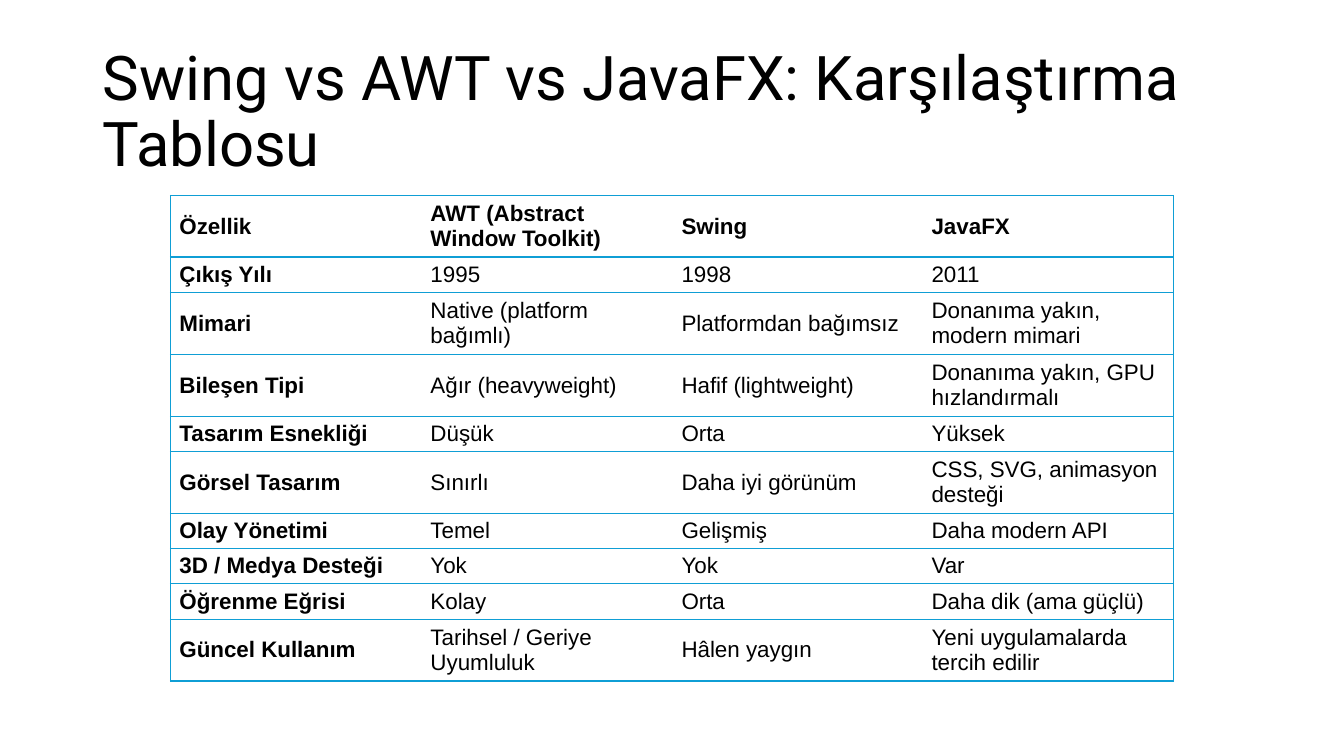
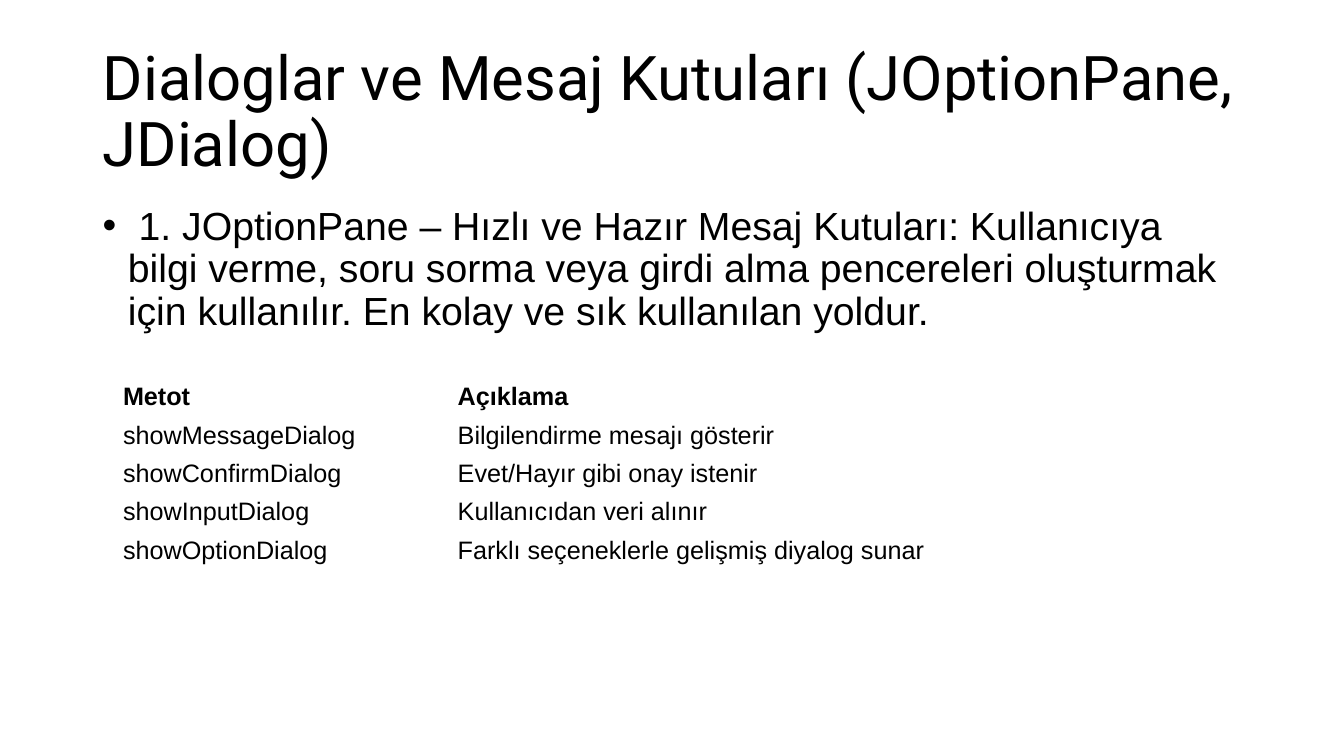
import pptx
import pptx.dml.color
import pptx.enum.text
import pptx.oxml.ns
import pptx.util
from lxml import etree

PX = 9144  # EMU per px, 100 px to the inch
BLACK, WHITE, BLUE = "000000", "FFFFFF", "0F9ED5"
TITLE_FONT, BODY_FONT = "Roboto", "Arial"
TITLE_BOX = (92, 40, 1150, 145)
BODY_BOX = (92, 200, 1140, 476)
PLAIN_TABLE_STYLE = "{2D5ABB26-0587-4C30-8999-92F81FD0307C}"

COMPARISON_TITLE = "Swing vs AWT vs JavaFX: Karşılaştırma Tablosu"
COMPARISON = [
    ("Özellik", "AWT (Abstract Window Toolkit)", "Swing", "JavaFX"),
    ("Çıkış Yılı", "1995", "1998", "2011"),
    ("Mimari", "Native (platform bağımlı)", "Platformdan bağımsız",
     "Donanıma yakın, modern mimari"),
    ("Bileşen Tipi", "Ağır (heavyweight)", "Hafif (lightweight)",
     "Donanıma yakın, GPU hızlandırmalı"),
    ("Tasarım Esnekliği", "Düşük", "Orta", "Yüksek"),
    ("Görsel Tasarım", "Sınırlı", "Daha iyi görünüm", "CSS, SVG, animasyon desteği"),
    ("Olay Yönetimi", "Temel", "Gelişmiş", "Daha modern API"),
    ("3D / Medya Desteği", "Yok", "Yok", "Var"),
    ("Öğrenme Eğrisi", "Kolay", "Orta", "Daha dik (ama güçlü)"),
    ("Güncel Kullanım", "Tarihsel / Geriye Uyumluluk", "Hâlen yaygın",
     "Yeni uygulamalarda tercih edilir"),
]
COMPARISON_WIDTHS = [249, 249, 248, 249]
HEADER, ONE_LINE, TWO_LINES = 61, 35, 60
TWO_LINE_ROWS = {2, 3, 5, 9}

DIALOG_TITLE = "Dialoglar ve Mesaj Kutuları (JOptionPane, JDialog)"
DIALOG_TEXT = (
    " 1. JOptionPane – Hızlı ve Hazır Mesaj Kutuları: Kullanıcıya bilgi verme, "
    "soru sorma veya girdi alma pencereleri oluşturmak için kullanılır. "
    "En kolay ve sık kullanılan yoldur."
)
DIALOG_METHODS = [
    ("Metot", "Açıklama"),
    ("showMessageDialog", "Bilgilendirme mesajı gösterir"),
    ("showConfirmDialog", "Evet/Hayır gibi onay istenir"),
    ("showInputDialog", "Kullanıcıdan veri alınır"),
    ("showOptionDialog", "Farklı seçeneklerle gelişmiş diyalog sunar"),
]


def px(n):
    return pptx.util.Emu(n * PX)


def rgb(color):
    return pptx.dml.color.RGBColor.from_string(color)


def sub(parent, tag, **attrs):
    return etree.SubElement(parent, pptx.oxml.ns.qn(tag), attrs)


def style_text(p, size, font, bold=False):
    for r in p.runs:
        r.font.size = pptx.util.Pt(size)
        r.font.name = font
        r.font.bold = bold
        r.font.color.rgb = rgb(BLACK)


def add_text(s, box, text, size, font):
    sp = s.shapes.add_textbox(*map(px, box))
    tf = sp.text_frame
    tf.word_wrap = True
    tf.text = text
    p = tf.paragraphs[0]
    p.line_spacing = 0.9
    style_text(p, size, font)
    return tf


def add_title_slide(prs, title):
    s = prs.slides.add_slide(prs.slide_layouts[6])
    tf = add_text(s, TITLE_BOX, title, 44, TITLE_FONT)
    tf.vertical_anchor = pptx.enum.text.MSO_ANCHOR.MIDDLE
    return s


def add_bullet(p, indent):
    pPr = p._p.get_or_add_pPr()
    pPr.set("marL", str(px(indent)))
    pPr.set("indent", str(px(-indent)))
    sub(sub(pPr, "a:buClr"), "a:srgbClr", val=BLACK)
    sub(pPr, "a:buFont", typeface=BODY_FONT)
    sub(pPr, "a:buChar", char="•")


def add_border(cell, side, width):
    ln = sub(cell._tc.get_or_add_tcPr(), "a:ln" + side, w=str(pptx.util.Pt(width)))
    sub(sub(ln, "a:solidFill"), "a:srgbClr", val=BLUE)


def add_table(s, left, top, rows, widths, heights, size, margins,
              bold_first_column=False, ruled=False):
    """Add a table with a bold header; ruled adds a frame and row lines."""
    shape = s.shapes.add_table(len(rows), len(widths), px(left), px(top),
                               px(sum(widths)), px(sum(heights)))
    table = shape.table
    table.first_row = table.horz_banding = False
    table._tbl.tblPr.find(pptx.oxml.ns.qn("a:tableStyleId")).text = PLAIN_TABLE_STYLE
    for column, width in zip(table.columns, widths):
        column.width = px(width)
    for row, height in zip(table.rows, heights):
        row.height = px(height)

    for i, row in enumerate(rows):
        for j, text in enumerate(row):
            cell = table.cell(i, j)
            cell.vertical_anchor = pptx.enum.text.MSO_ANCHOR.MIDDLE
            cell.margin_left = cell.margin_right = px(margins[0])
            cell.margin_top = cell.margin_bottom = px(margins[1])
            p = cell.text_frame.paragraphs[0]
            p.text = text
            style_text(p, size, BODY_FONT, i == 0 or (bold_first_column and j == 0))
            if not ruled:
                cell.fill.background()
                continue
            if j == 0:
                add_border(cell, "L", 1)
            if j == len(row) - 1:
                add_border(cell, "R", 1)
            add_border(cell, "T", 1.5 if i == 1 else 1)
            add_border(cell, "B", 1.5 if i == 0 else 1)
            cell.fill.solid()
            cell.fill.fore_color.rgb = rgb(WHITE)


def main():
    prs = pptx.Presentation()
    prs.slide_width, prs.slide_height = px(1333), px(750)

    s = add_title_slide(prs, COMPARISON_TITLE)
    heights = [HEADER] + [TWO_LINES if i in TWO_LINE_ROWS else ONE_LINE
                          for i in range(1, len(COMPARISON))]
    add_table(s, 169, 194, COMPARISON, COMPARISON_WIDTHS, heights, 16, (9, 4),
              bold_first_column=True, ruled=True)

    s = add_title_slide(prs, DIALOG_TITLE)
    tf = add_text(s, BODY_BOX, DIALOG_TEXT, 28, BODY_FONT)
    add_bullet(tf.paragraphs[0], 25)
    add_table(s, 112, 375, DIALOG_METHODS, [332, 818], [38] * len(DIALOG_METHODS),
              18, (10, 4))

    prs.save("out.pptx")


if __name__ == "__main__":
    main()
